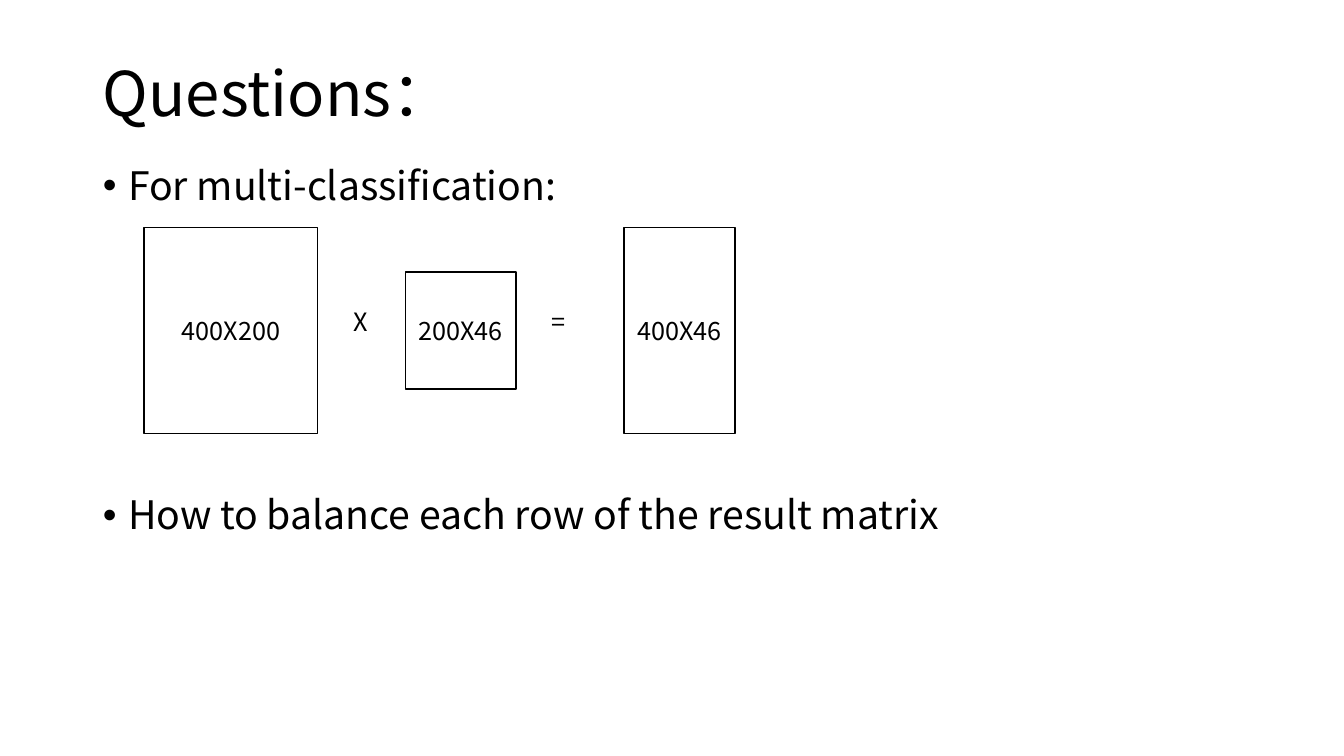
from dataclasses import dataclass

from lxml.etree import SubElement
from pptx import Presentation
from pptx.dml.color import RGBColor
from pptx.enum.shapes import MSO_SHAPE as Shape
from pptx.enum.text import MSO_ANCHOR as Anchor, MSO_AUTO_SIZE as AutoSize, PP_ALIGN as Align
from pptx.oxml.ns import qn
from pptx.util import Inches, Pt

TITLE = "Questions："
QUESTIONS = [
    ("For multi-classification:", 0),
    ("How to balance each row of the result matrix", 205),
]
MATRICES = [
    ("400X200", 1.43, 1.72, 2.04),
    ("200X46", 4.02, 1.1, 1.16),
    ("400X46", 6.19, 1.1, 2.04),
]
OPERATORS = [("X", 3.41, 0.35), ("=", 5.37, 0.37)]
EQUATION_MIDDLE = 3.28
OPERATOR_TOP, OPERATOR_HEIGHT = 2.99, 0.4
MARGIN, CONTENT_WIDTH = 0.92, 11.5


@dataclass(frozen=True)
class Theme:
    font: str = "Noto Sans CJK SC"
    ink: RGBColor = RGBColor(0, 0, 0)
    paper: RGBColor = RGBColor(255, 255, 255)
    title: int = 44
    body: int = 28
    label: int = 18
    outline: int = 1


THEME = Theme()


def add_run(paragraph, words, size):
    run = paragraph.add_run()
    run.text = words
    run.font.name = THEME.font
    run.font.size = Pt(size)
    run.font.color.rgb = THEME.ink
    SubElement(run.font._element, qn("a:ea"), typeface=THEME.font)


def place(holder, top, height, anchor):
    holder.left, holder.top = Inches(MARGIN), Inches(top)
    holder.width, holder.height = Inches(CONTENT_WIDTH), Inches(height)
    frame = holder.text_frame
    frame.auto_size = AutoSize.NONE
    frame.word_wrap = True
    frame.vertical_anchor = anchor
    return frame


def add_title(slide):
    heading = place(slide.shapes.title, 0.23, 1.45, Anchor.MIDDLE).paragraphs[0]
    heading.alignment = Align.LEFT
    heading.line_spacing = 0.9
    add_run(heading, TITLE, THEME.title)


def add_questions(slide):
    frame = place(slide.placeholders[1], 1.6, 4.76, Anchor.TOP)
    for index, (question, gap) in enumerate(QUESTIONS):
        bullet = frame.add_paragraph() if index else frame.paragraphs[0]
        properties = bullet._p.get_or_add_pPr()
        properties.set("marL", str(Inches(0.25)))
        properties.set("indent", str(Inches(-0.25)))
        SubElement(properties, qn("a:buFont"), typeface="Arial")
        SubElement(properties, qn("a:buChar"), char="•")
        bullet.line_spacing = 0.9
        bullet.space_before = Pt(gap)
        add_run(bullet, question, THEME.body)


def add_matrix(slide, label, left, width, height):
    top = EQUATION_MIDDLE - height / 2
    matrix = slide.shapes.add_shape(
        Shape.RECTANGLE, Inches(left), Inches(top), Inches(width), Inches(height))
    matrix.shadow.inherit = False
    matrix.fill.solid()
    matrix.fill.fore_color.rgb = THEME.paper
    matrix.line.color.rgb = THEME.ink
    matrix.line.width = Pt(THEME.outline)
    matrix.text_frame.vertical_anchor = Anchor.MIDDLE
    caption = matrix.text_frame.paragraphs[0]
    caption.alignment = Align.CENTER
    add_run(caption, label, THEME.label)


def add_operator(slide, symbol, left, width):
    operator = slide.shapes.add_textbox(
        Inches(left), Inches(OPERATOR_TOP), Inches(width), Inches(OPERATOR_HEIGHT))
    frame = operator.text_frame
    frame.word_wrap = False
    frame.auto_size = AutoSize.SHAPE_TO_FIT_TEXT
    add_run(frame.paragraphs[0], symbol, THEME.label)


def main():
    deck = Presentation()
    deck.slide_width, deck.slide_height = Inches(13.33), Inches(7.5)
    slide = deck.slides.add_slide(deck.slide_layouts[1])
    add_title(slide)
    add_questions(slide)
    for matrix in MATRICES:
        add_matrix(slide, *matrix)
    for operator in OPERATORS:
        add_operator(slide, *operator)
    deck.save("out.pptx")


if __name__ == "__main__":
    main()
